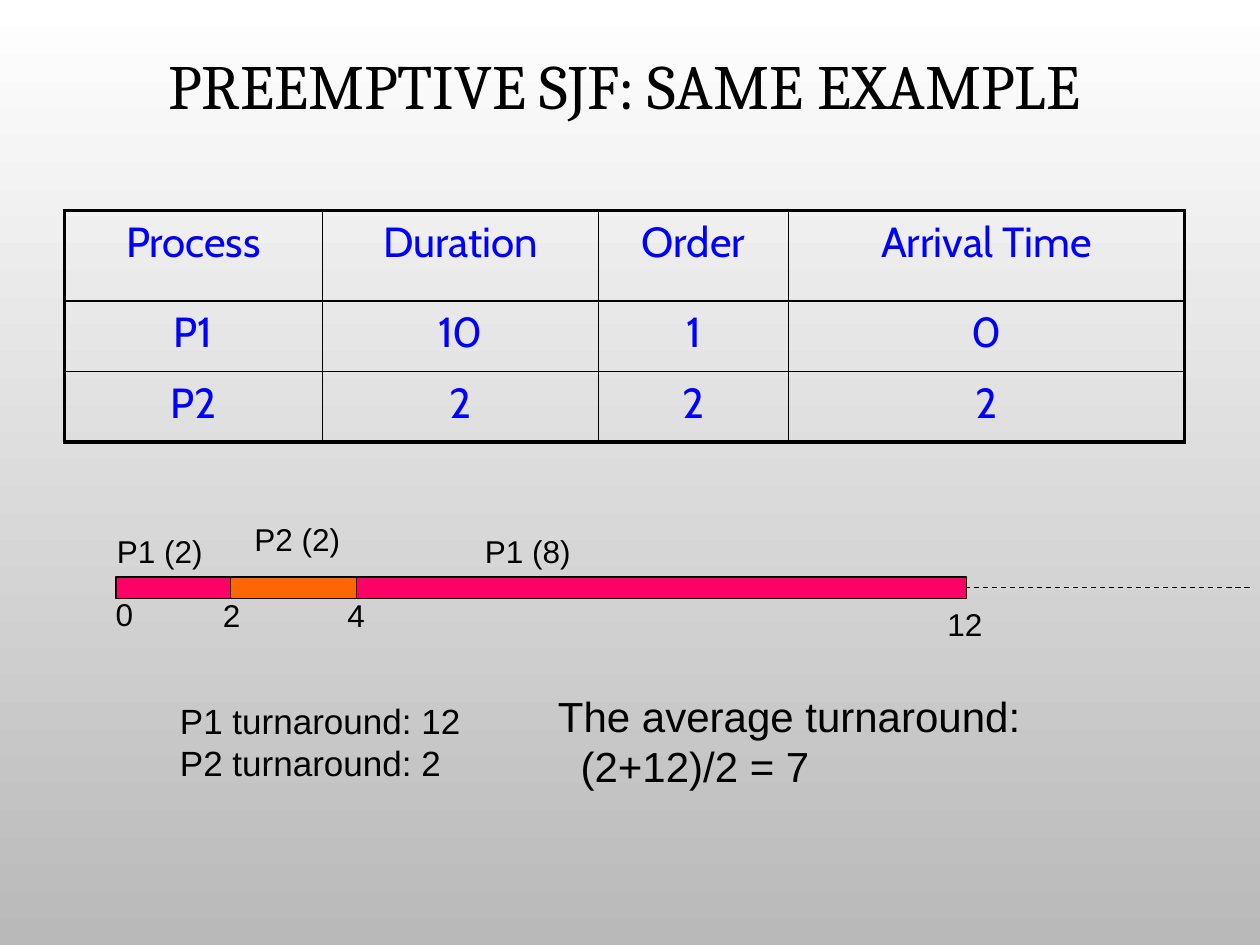
from lxml import etree
from pptx import Presentation
from pptx.dml.color import RGBColor
from pptx.enum import dml, shapes, text
from pptx.oxml import ns
from pptx.util import Inches, Pt

BLACK = RGBColor(0x00, 0x00, 0x00)
WHITE = RGBColor(0xFF, 0xFF, 0xFF)
GREY = RGBColor(0xB9, 0xB9, 0xB9)
BLUE = RGBColor(0x00, 0x00, 0xFF)
PINK = RGBColor(0xFF, 0x00, 0x66)
ORANGE = RGBColor(0xFF, 0x66, 0x00)

PROCESSES = [
    ["Process", "Duration", "Order", "Arrival Time"],
    ["P1", "10", "1", "0"],
    ["P2", "2", "2", "2"],
]


def style_paragraph(paragraph, size, name="Arial", color=BLACK, align=None):
    paragraph.alignment = align
    for run in paragraph.runs:
        run.font.size = Pt(size)
        run.font.name = name
        run.font.color.rgb = color


def add_label(slide, left, top, width, height, content, size=18):
    box = slide.shapes.add_textbox(Inches(left), Inches(top), Inches(width), Inches(height))
    frame = box.text_frame
    frame.word_wrap = False
    frame.text = content
    for paragraph in frame.paragraphs:
        style_paragraph(paragraph, size)
    return frame


def add_line(slide, start_x, start_y, end_x, end_y, dash=None):
    line = slide.shapes.add_connector(
        shapes.MSO_CONNECTOR.STRAIGHT,
        Inches(start_x), Inches(start_y), Inches(end_x), Inches(end_y))
    line.line.color.rgb = BLACK
    line.line.width = Pt(0.75)
    if dash:
        line.line.dash_style = dash
    etree.SubElement(line._element.spPr, ns.qn("a:effectLst"))


def set_background(slide):
    fill = slide.background.fill
    fill.gradient()
    fill.gradient_angle = 270
    for stop, color in zip(fill.gradient_stops, (WHITE, GREY)):
        stop.color.rgb = color


def set_title(slide, left, top, width, height):
    title = slide.shapes.title
    title.left, title.top = Inches(left), Inches(top)
    title.width, title.height = Inches(width), Inches(height)
    frame = title.text_frame
    frame.text = "PREEMPTIVE SJF: SAME EXAMPLE"
    frame.auto_size = text.MSO_AUTO_SIZE.NONE
    frame.vertical_anchor = text.MSO_ANCHOR.MIDDLE
    frame.paragraphs[0].line_spacing = 0.9
    style_paragraph(frame.paragraphs[0], 36, "Cambria", align=text.PP_ALIGN.CENTER)


def set_borders(cell, outer_edges):
    properties = cell._tc.get_or_add_tcPr()
    for edge in "LRTB":
        width = Pt(2.25 if edge in outer_edges else 1)
        border = etree.SubElement(properties, ns.qn(f"a:ln{edge}"), w=str(width))
        fill = etree.SubElement(border, ns.qn("a:solidFill"))
        etree.SubElement(fill, ns.qn("a:srgbClr"), val=str(BLACK))


def add_process_table(slide, left, top, width, height):
    column_widths = [2.05, 2.19, 1.51, 3.14]
    row_heights = [0.72, 0.56, 0.56]
    last_row, last_column = len(row_heights) - 1, len(column_widths) - 1
    table = slide.shapes.add_table(
        len(row_heights), len(column_widths),
        Inches(left), Inches(top), Inches(width), Inches(height)).table
    table.first_row = table.horz_banding = False
    for column, column_width in zip(table.columns, column_widths):
        column.width = Inches(column_width)
    for row, row_height in zip(table.rows, row_heights):
        row.height = Inches(row_height)
    for i, values in enumerate(PROCESSES):
        for j, value in enumerate(values):
            cell = table.cell(i, j)
            cell.text = value
            style_paragraph(cell.text_frame.paragraphs[0], 24, "Cabin", BLUE,
                            text.PP_ALIGN.CENTER)
            edges = {"L": j == 0, "R": j == last_column, "T": i == 0, "B": i == last_row}
            set_borders(cell, [edge for edge, outer in edges.items() if outer])
            cell.fill.background()


def add_timeline(slide, left, top, width, height):
    add_line(slide, left, top + height / 2, left + width, top + height / 2,
             dml.MSO_LINE.DASH)
    bars = [
        (0, 0.91, PINK, "P1 (2)", -0.09, -0.41),
        (0.91, 1, ORANGE, "P2 (2)", 1, -0.5),
        (1.91, 4.84, PINK, "P1 (8)", 2.83, -0.41),
    ]
    for bar_x, bar_width, color, label, label_x, label_y in bars:
        bar = slide.shapes.add_shape(
            shapes.MSO_SHAPE.RECTANGLE,
            Inches(left + bar_x), Inches(top), Inches(bar_width), Inches(height))
        bar.shadow.inherit = False
        bar.fill.solid()
        bar.fill.fore_color.rgb = color
        bar.line.color.rgb = BLACK
        bar.line.width = Pt(0.75)
        add_label(slide, left + label_x, top + label_y, 0.88, 0.4, label)
    add_line(slide, left + 0.91, top, left + 0.91, top + height)
    ticks = [("0", -0.1, 0.09), ("2", 0.75, 0.1), ("4", 1.74, 0.1), ("12", 6.5, 0.17)]
    for label, tick_x, tick_y in ticks:
        add_label(slide, left + tick_x, top + tick_y, 0.34 if len(label) == 1 else 0.48,
                  0.4, label)


def add_results(slide, left, top):
    add_label(slide, left, top + 0.07, 2.44, 0.77,
              "P1 turnaround: 12\nP2 turnaround: 2", 20)
    average = add_label(slide, left + 3, top, 4.15, 0.91,
                        "The average turnaround:\n(2+12)/2 = 7", 24)
    average.paragraphs[1]._p.get_or_add_pPr().set("marL", str(Inches(0.18)))


def main():
    presentation = Presentation()
    presentation.slide_width, presentation.slide_height = Inches(10), Inches(7.5)
    slide = presentation.slides.add_slide(presentation.slide_layouts[5])
    set_background(slide)
    set_title(slide, 0.51, 0, 8.89, 1.42)
    add_process_table(slide, 0.51, 1.67, 8.89, 1.84)
    add_timeline(slide, 0.92, 4.58, 9, 0.17)
    add_results(slide, 1.33, 5.43)
    presentation.save("out.pptx")


if __name__ == "__main__":
    main()
